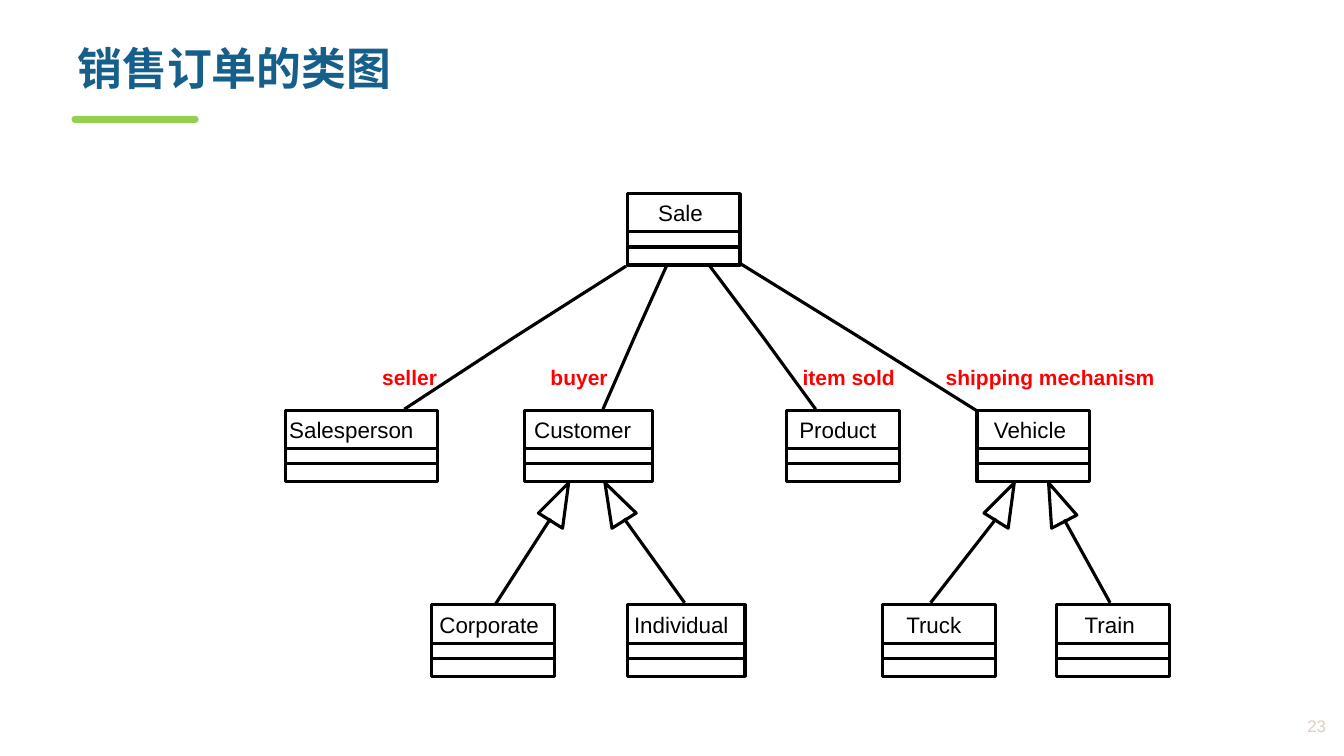
from itertools import pairwise

from lxml.etree import SubElement
from pptx import Presentation
from pptx.dml.color import RGBColor
from pptx.enum.shapes import MSO_CONNECTOR, MSO_SHAPE
from pptx.enum.text import MSO_ANCHOR, PP_ALIGN
from pptx.oxml.ns import qn
from pptx.util import Inches, Pt

BLACK = RGBColor(0x00, 0x00, 0x00)
RED = RGBColor(0xFF, 0x00, 0x00)
BLUE = RGBColor(0x17, 0x5F, 0x8B)
GREEN = RGBColor(0x92, 0xD0, 0x50)
BEIGE = RGBColor(0xE0, 0xCF, 0xBD)

TITLE = "销售订单的类图"
PAGE_NUMBER = "23"

# Each level of the diagram: top edge, then (class, left, width, name left, name width)
LEVELS = [
    (1.92, [("Sale", 6.22, 1.12, 6.43, 0.73)]),
    (4.07, [("Salesperson", 2.83, 1.51, 2.77, 1.62),
            ("Customer", 5.2, 1.27, 5.2, 1.33),
            ("Product", 7.8, 1.12, 7.83, 1.1),
            ("Vehicle", 9.69, 1.12, 9.76, 1.04)]),
    (6.0, [("Corporate", 4.28, 1.22, 4.26, 1.35),
           ("Individual", 6.22, 1.17, 6.19, 1.29),
           ("Truck", 8.75, 1.12, 8.89, 0.85),
           ("Train", 10.48, 1.12, 10.66, 0.8)]),
]
CLASS_HEIGHT = 0.71
DIVIDERS = (0.38, 0.53)

# Role, label left, label width, end at Sale, end at the other class
ASSOCIATIONS = [
    ("seller", 3.67, 1.5, (6.21, 2.64), (4.01, 4.06)),
    ("buyer", 5.34, 1.5, (6.61, 2.64), (5.98, 4.06)),
    ("item sold", 7.84, 1.5, (7.04, 2.64), (8.09, 4.06)),
    ("shipping mechanism", 9.26, 2.63, (7.35, 2.62), (9.68, 4.07)),
]
BEND_Y, ROLE_TOP = 3.34, 3.56

# Arrow tip, the two base corners, end at the subclass
INHERITANCES = [
    ((5.64, 4.79), (5.58, 5.24), (5.34, 5.09), (4.91, 6.0)),
    ((6.0, 4.79), (6.31, 5.09), (6.07, 5.24), (6.79, 5.98)),
    ((10.06, 4.79), (10.0, 5.24), (9.76, 5.09), (9.23, 5.98)),
    ((10.4, 4.79), (10.68, 5.11), (10.43, 5.24), (11.01, 5.98)),
]
STEM_OVERLAP = 0.02

NAME_STYLE = {"size": Pt(16), "name": "Arial", "bold": False}
ROLE_STYLE = {"size": Pt(15), "name": "Arial", "bold": True}
TITLE_STYLE = {"size": Pt(32), "name": "Noto Sans CJK SC", "bold": True}
NUMBER_STYLE = {"size": Pt(12), "name": "Arial", "bold": False}

deck = Presentation()
deck.slide_width, deck.slide_height = Inches(13.33), Inches(7.5)
slide = deck.slides.add_slide(deck.slide_layouts[6])
shapes = slide.shapes


def outline(shape):
    """Leave the shape hollow with the diagram's black border."""
    shape.shadow.inherit = False
    shape.fill.background()
    shape.line.color.rgb = BLACK
    shape.line.width = Pt(2.25)


def add_line(start, end):
    line = shapes.add_connector(MSO_CONNECTOR.STRAIGHT, *map(Inches, start + end))
    line.line.color.rgb = BLACK
    line.line.width = Pt(2.25)
    SubElement(line._element.spPr, qn("a:effectLst"))


def add_text(text, place, style, color, insets=(0.1, 0.05),
             anchor=MSO_ANCHOR.TOP, align=PP_ALIGN.LEFT):
    """Write one line of text; insets are horizontal and vertical."""
    frame = shapes.add_textbox(*map(Inches, place)).text_frame
    frame.word_wrap = True
    frame.vertical_anchor = anchor
    frame.margin_left = frame.margin_right = Inches(insets[0])
    frame.margin_top = frame.margin_bottom = Inches(insets[1])
    paragraph = frame.paragraphs[0]
    paragraph.alignment = align
    run = paragraph.add_run()
    run.text = text
    for attribute, value in style.items():
        setattr(run.font, attribute, value)
    run.font.color.rgb = color
    SubElement(run.font._element, qn("a:ea"), typeface=style["name"])
    return paragraph


def add_class(name, left, top, width, name_left, name_width):
    outline(shapes.add_shape(
        MSO_SHAPE.RECTANGLE, *map(Inches, (left, top, width, CLASS_HEIGHT))))
    for offset in DIVIDERS:
        add_line((left, top + offset), (left + width, top + offset))
    add_text(name, (name_left, top + 0.01, name_width, 0.37), NAME_STYLE, BLACK)


def add_inheritance(tip, corner, other_corner, subclass_end):
    """Draw a hollow arrowhead and the stem from its base to the subclass."""
    start, *corners = [tuple(map(Inches, point))
                       for point in (tip, corner, other_corner)]
    arrow = shapes.build_freeform(*start)
    arrow.add_line_segments(corners, close=True)
    outline(arrow.convert_to_shape())
    base_x, base_y = ((a + b) / 2 for a, b in zip(corner, other_corner))
    add_line((base_x, base_y - STEM_OVERLAP), subclass_end)


title = add_text(TITLE, (0.67, 0.41, 12.27, 0.75), TITLE_STYLE, BLUE)
title.line_spacing = 0.9

accent = shapes.add_shape(MSO_SHAPE.ROUND_2_SAME_RECTANGLE,
                          *map(Inches, (0.71, 1.15, 1.26, 0.07)))
accent.shadow.inherit = False
accent.fill.solid()
accent.fill.fore_color.rgb = GREEN
accent.line.fill.background()
accent.adjustments[0] = accent.adjustments[1] = 0.5

for top, classes in LEVELS:
    for name, left, width, name_left, name_width in classes:
        add_class(name, left, top, width, name_left, name_width)

for role, left, width, sale_end, class_end in ASSOCIATIONS:
    bend = ((sale_end[0] + class_end[0]) / 2, BEND_Y)
    for start, end in pairwise((sale_end, bend, class_end)):
        add_line(start, end)
    add_text(role, (left, ROLE_TOP, width, 0.37), ROLE_STYLE, RED, (0.12, 0.06))

for inheritance in INHERITANCES:
    add_inheritance(*inheritance)

add_text(PAGE_NUMBER, (12.12, 7.01, 1.13, 0.38), NUMBER_STYLE, BEIGE,
         anchor=MSO_ANCHOR.MIDDLE, align=PP_ALIGN.RIGHT)

deck.save("out.pptx")
